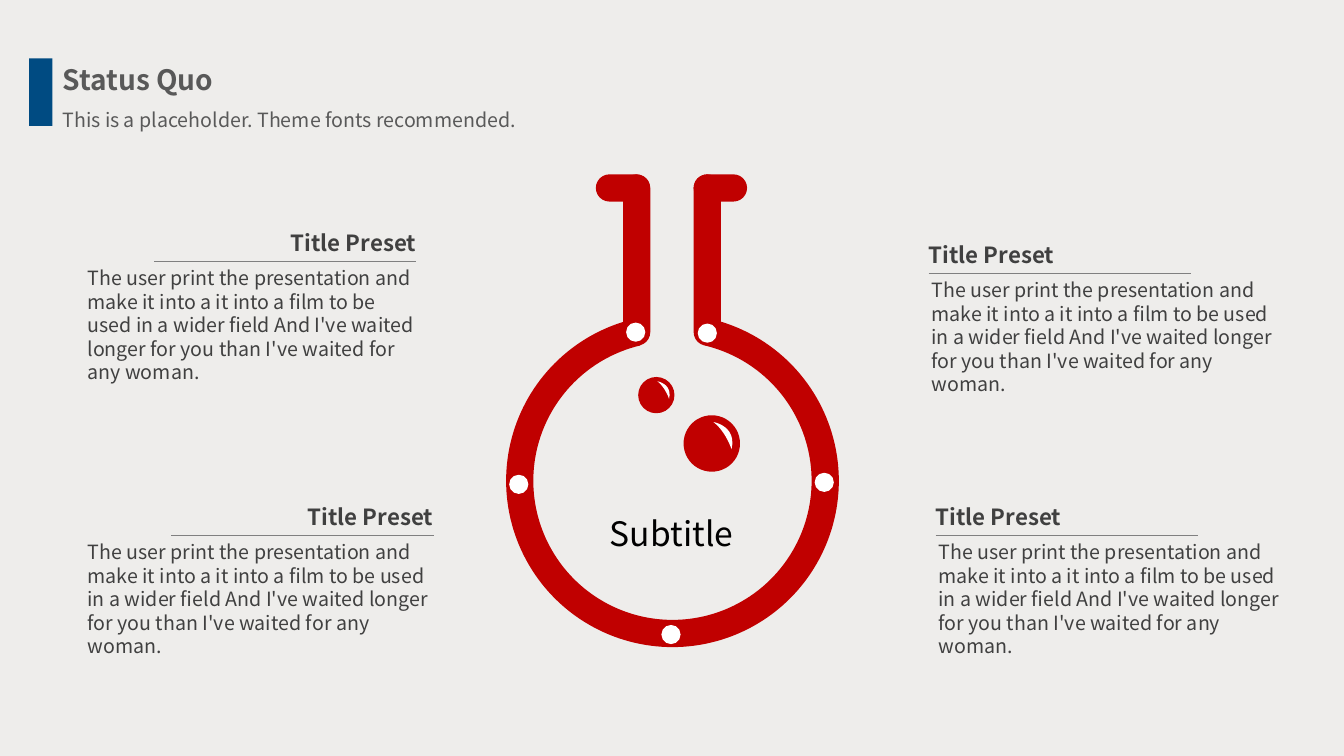
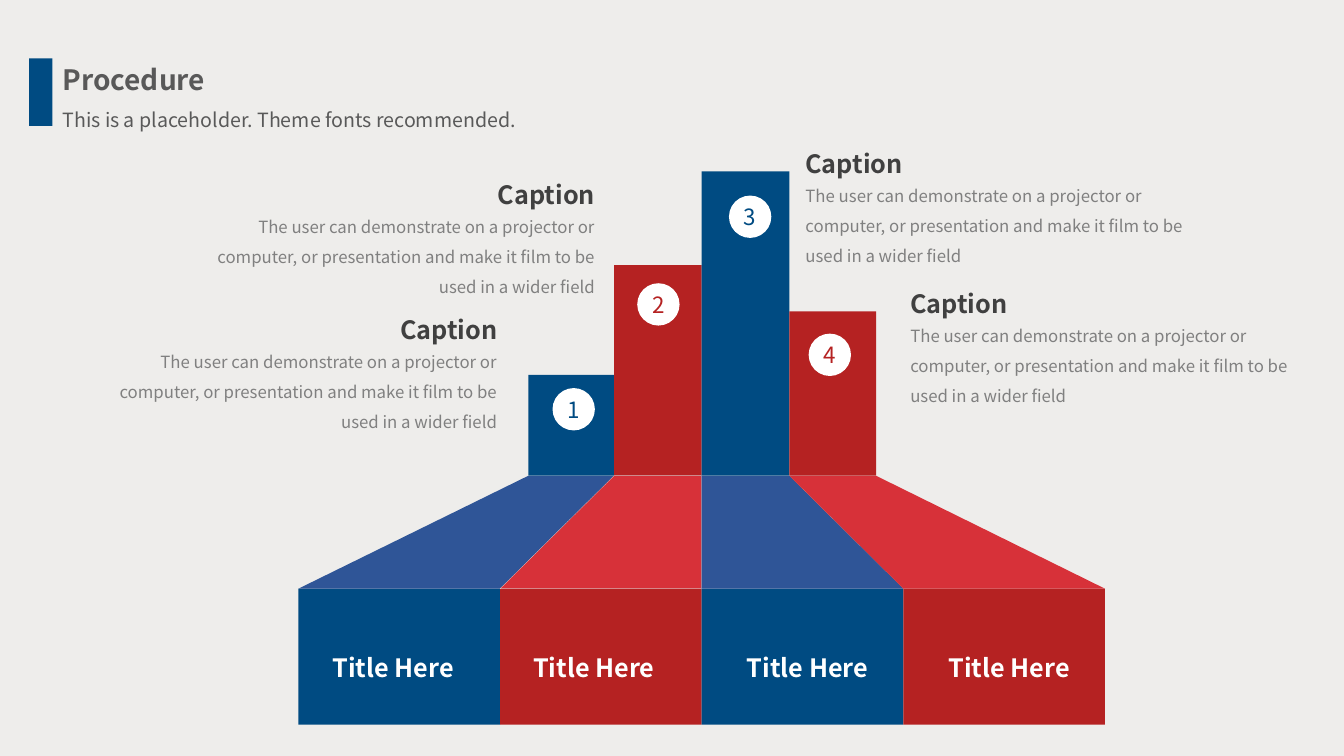
"""Build a two-slide deck: a flask diagram and a stepped tower diagram."""
from lxml import etree
from pptx import Presentation
from pptx.dml.color import RGBColor
from pptx.enum.dml import MSO_LINE
from pptx.enum.shapes import MSO_CONNECTOR, MSO_SHAPE
from pptx.enum.text import MSO_ANCHOR, MSO_AUTO_SIZE, PP_ALIGN
from pptx.oxml.ns import qn
from pptx.util import Inches, Pt

RECTANGLE, ROUNDED = MSO_SHAPE.RECTANGLE, MSO_SHAPE.ROUNDED_RECTANGLE
OVAL, BLOCK_ARC = MSO_SHAPE.OVAL, MSO_SHAPE.BLOCK_ARC
LEFT, CENTER, RIGHT = PP_ALIGN.LEFT, PP_ALIGN.CENTER, PP_ALIGN.RIGHT
TOP, MIDDLE = MSO_ANCHOR.TOP, MSO_ANCHOR.MIDDLE
STRAIGHT = MSO_CONNECTOR.STRAIGHT
DOTTED = MSO_LINE.ROUND_DOT
NO_AUTOFIT = MSO_AUTO_SIZE.NONE

FONT = "Noto Sans CJK SC"
BACKGROUND, WHITE, BLACK = "EEEDEB", "FFFFFF", "000000"
NAVY, BRICK, FLASK_RED = "004B82", "B52222", "C00000"
RAMP_BLUE, RAMP_RED, RAMP_LINE = "2F5597", "D73139", "D9D9D9"
TITLE_GRAY, DARK_GRAY, MID_GRAY = "595959", "404040", "808080"

HEADER_NOTE = "This is a placeholder. Theme fonts recommended."
PRESET_TITLE = "Title Preset"
PRESET_BODY = (
    "The user print the presentation and make it into a it into a film to be used "
    "in a wider field And I've waited longer for you than I've waited for any woman."
)
PRESETS = [
    {"rule": (1.53, 2.59), "body_left": 0.77, "body_width": 3.52, "align": RIGHT},
    {"rule": (1.7, 5.31), "body_left": 0.77, "body_width": 3.59, "align": RIGHT},
    {"rule": (9.21, 2.71), "body_left": 9.14, "body_width": 3.59, "align": LEFT},
    {"rule": (9.28, 5.31), "body_left": 9.21, "body_width": 3.59, "align": LEFT},
]
RULE_WIDTH = 2.6

FLASK_CENTER, FLASK_RADIUS, FLASK_WALL = (6.67, 4.77), 1.65, 0.27
FLASK_OPENING_ANGLE = 13.4
NECKS = [{"tube": 6.18, "lip": 5.91}, {"tube": 6.88, "lip": 6.88}]
NECK_TOP, NECK_HEIGHT, LIP_WIDTH = 1.73, 1.7, 0.53
BUBBLES = [(6.33, 3.74, 0.36), (6.78, 4.12, 0.56)]
GLINT_CURVES = [
    ((0.53, 0.12), (0.95, 0.19), (0.85, 0.6)),
    ((0.85, 0.6), (0.75, 0.29), (0.53, 0.12)),
]
DOTS = [(6.92, 3.21), (6.21, 3.2), (8.08, 4.69), (6.56, 6.2), (5.05, 4.71)]
DOT_SIZE = 0.19

CAPTION = "Caption"
CAPTION_BODY = (
    "The user can demonstrate on a projector or computer, or presentation "
    "and make it film to be used in a wider field"
)
STEP_TITLE = "Title Here"
STEPS = [
    {"top": 3.72, "badge": (5.48, 3.85), "label_left": 2.97,
     "caption": (0.88, 3.07), "align": RIGHT},
    {"top": 2.63, "badge": (6.32, 2.81), "label_left": 4.96,
     "caption": (1.85, 1.73), "align": RIGHT, "dotted": True},
    {"top": 1.7, "badge": (7.23, 1.94), "label_left": 7.08,
     "caption": (7.89, 1.42), "align": LEFT},
    {"top": 3.09, "badge": (8.02, 3.31), "label_left": 9.08,
     "caption": (8.93, 2.81), "align": LEFT},
]
STEP_COLORS = [(NAVY, RAMP_BLUE), (BRICK, RAMP_RED)]
BACK_EDGES = [5.24, 6.09, 6.96, 7.83, 8.69]
FRONT_LEFT, FRONT_WIDTH = 2.96, 2
RAMP_TOP, RAMP_BOTTOM, FRONT_BOTTOM = 4.72, 5.84, 7.19
CAPTION_WIDTH, CAPTION_BODY_WIDTH = 1.82, 4.15
BADGE_SIZE = 0.42


def color(value):
    return RGBColor.from_string(value)


def paint(shape, fill):
    shape.shadow.inherit = False
    shape.fill.solid()
    shape.fill.fore_color.rgb = color(fill)
    shape.line.fill.background()
    return shape


def write(shape, text, size, ink, align=LEFT, bold=False, spacing=None,
          anchor=TOP, inset=True, wrap=True):
    frame = shape.text_frame
    frame.text = text
    frame.word_wrap = wrap
    frame.auto_size = NO_AUTOFIT
    frame.vertical_anchor = anchor
    horizontal, vertical = (0.1, 0.05) if inset else (0, 0)
    frame.margin_left = frame.margin_right = Inches(horizontal)
    frame.margin_top = frame.margin_bottom = Inches(vertical)
    paragraph = frame.paragraphs[0]
    paragraph.alignment = align
    if spacing:
        paragraph.line_spacing = spacing
    font = paragraph.runs[0].font
    font.name, font.size, font.bold = FONT, Pt(size), bold
    font.color.rgb = color(ink)


def add_block(slide, kind, left, top, width, height, fill):
    shape = slide.shapes.add_shape(
        kind, Inches(left), Inches(top), Inches(width), Inches(height))
    return paint(shape, fill)


def add_text(slide, left, top, width, height, text, size, ink, **style):
    box = slide.shapes.add_textbox(
        Inches(left), Inches(top), Inches(width), Inches(height))
    write(box, text, size, ink, **style)


def add_polygon(slide, points, fill):
    start, *others = [(Inches(x), Inches(y)) for x, y in points]
    builder = slide.shapes.build_freeform(*start)
    builder.add_line_segments(others, close=True)
    return paint(builder.convert_to_shape(), fill)


def add_rule(slide, left, top):
    rule = slide.shapes.add_connector(
        STRAIGHT, Inches(left), Inches(top), Inches(left + RULE_WIDTH), Inches(top))
    rule.line.color.rgb = color(MID_GRAY)
    rule.line.width = Pt(0.25)
    etree.SubElement(rule.line._get_or_add_ln().getparent(), qn("a:effectLst"))


def add_titled_slide(presentation, title):
    slide = presentation.slides.add_slide(presentation.slide_layouts[5])
    add_block(slide, RECTANGLE, 0.29, 0.58, 0.23, 0.67, NAVY)
    heading = slide.shapes.title
    heading.left, heading.top = Inches(0.52), Inches(0.57)
    heading.width, heading.height = Inches(4.92), Inches(0.44)
    write(heading, title, 20, TITLE_GRAY, bold=True)
    add_text(slide, 0.52, 0.9, 6.72, 0.38, HEADER_NOTE, 14, TITLE_GRAY, spacing=1.5)
    return slide


def glint_points(left, top, size, samples=12):
    points = []
    for start, bend, end in GLINT_CURVES:
        for index in range(samples):
            t = index / samples
            weights = ((1 - t) ** 3 + 3 * t * (1 - t) ** 2, 3 * t * t * (1 - t), t ** 3) \
                if start[1] < end[1] else \
                ((1 - t) ** 3 + 3 * t * (1 - t) ** 2, 3 * t * t * (1 - t), t ** 3)
            x, y = (sum(w * p[axis] for w, p in zip(weights, (start, bend, end)))
                    for axis in (0, 1))
            points.append((left + size * x, top + size * y))
    return points


def add_flask(slide):
    center_x, center_y = FLASK_CENTER
    diameter = 2 * FLASK_RADIUS
    bowl = add_block(slide, BLOCK_ARC, center_x - FLASK_RADIUS,
                     center_y - FLASK_RADIUS, diameter, diameter, FLASK_RED)
    for index, angle in enumerate((270 + FLASK_OPENING_ANGLE, 270 - FLASK_OPENING_ANGLE)):
        bowl.adjustments[index] = angle * 0.6
    bowl.adjustments[2] = FLASK_WALL / diameter
    for neck in NECKS:
        for left, width, height in ((neck["tube"], FLASK_WALL, NECK_HEIGHT),
                                    (neck["lip"], LIP_WIDTH, FLASK_WALL)):
            bar = add_block(slide, ROUNDED, left, NECK_TOP, width, height, FLASK_RED)
            bar.adjustments[0] = 0.5
    for left, top, size in BUBBLES:
        add_block(slide, OVAL, left, top, size, size, FLASK_RED)
        add_polygon(slide, glint_points(left, top, size), WHITE)
    for left, top in DOTS:
        add_block(slide, OVAL, left, top, DOT_SIZE, DOT_SIZE, WHITE)
    add_text(slide, 5.87, 5.04, 1.58, 0.5, "Subtitle", 24, BLACK, align=CENTER)


def build_status_slide(presentation):
    slide = add_titled_slide(presentation, "Status Quo")
    add_flask(slide)
    for preset in PRESETS:
        left, top = preset["rule"]
        add_text(slide, left, top - 0.3, RULE_WIDTH, 0.24, PRESET_TITLE, 15.9, DARK_GRAY,
                 align=preset["align"], bold=True, anchor=MIDDLE, inset=False)
        add_rule(slide, left, top)
        add_text(slide, preset["body_left"], top, preset["body_width"], 1.28,
                 PRESET_BODY, 14, DARK_GRAY)


def add_step(slide, index, step):
    solid, ramp_fill = STEP_COLORS[index % 2]
    back_left, back_right = BACK_EDGES[index:index + 2]
    front_left = FRONT_LEFT + index * FRONT_WIDTH
    add_block(slide, RECTANGLE, front_left, RAMP_BOTTOM, FRONT_WIDTH,
              FRONT_BOTTOM - RAMP_BOTTOM, solid)
    add_block(slide, RECTANGLE, back_left, step["top"], back_right - back_left,
              RAMP_TOP - step["top"], solid)
    ramp = add_polygon(slide, [
        (back_left, RAMP_TOP), (back_right, RAMP_TOP),
        (front_left + FRONT_WIDTH, RAMP_BOTTOM), (front_left, RAMP_BOTTOM)], ramp_fill)
    if step.get("dotted"):
        ramp.line.color.rgb = color(RAMP_LINE)
        ramp.line.width = Pt(0.1)
        ramp.line.dash_style = DOTTED
    add_text(slide, step["label_left"], 6.27, 1.86, 0.47, STEP_TITLE, 18, WHITE,
             align=CENTER, bold=True, spacing=1.5)
    badge = add_block(slide, OVAL, *step["badge"], BADGE_SIZE, BADGE_SIZE, WHITE)
    write(badge, str(index + 1), 16, solid, align=CENTER, anchor=MIDDLE,
          inset=False, wrap=False)


def add_caption(slide, step):
    left, top = step["caption"]
    align = step["align"]
    indent = CAPTION_BODY_WIDTH - CAPTION_WIDTH if align == RIGHT else 0
    add_text(slide, left, top + 0.27, CAPTION_BODY_WIDTH, 0.98, CAPTION_BODY, 12,
             MID_GRAY, align=align, spacing=1.5)
    add_text(slide, left + indent, top, CAPTION_WIDTH, 0.4, CAPTION, 18,
             DARK_GRAY, align=align, bold=True)


def build_procedure_slide(presentation):
    slide = add_titled_slide(presentation, "Procedure")
    for index, step in enumerate(STEPS):
        add_caption(slide, step)
        add_step(slide, index, step)


def main():
    presentation = Presentation()
    presentation.slide_width, presentation.slide_height = Inches(13.33), Inches(7.5)
    background = presentation.slide_master.background.fill
    background.solid()
    background.fore_color.rgb = color(BACKGROUND)
    build_status_slide(presentation)
    build_procedure_slide(presentation)
    presentation.save("out.pptx")


if __name__ == "__main__":
    main()
